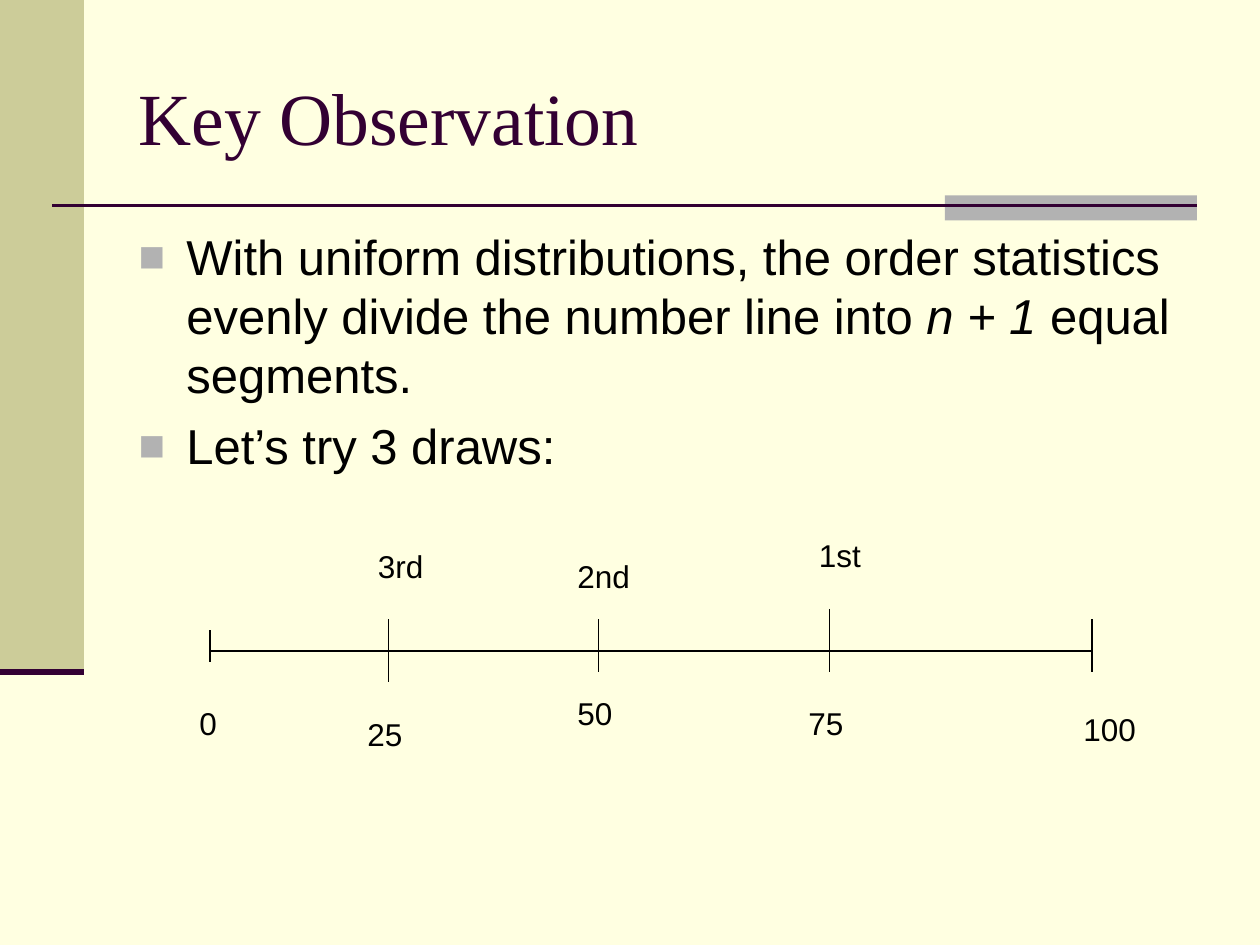
from dataclasses import dataclass
from lxml import etree
from pptx import Presentation
from pptx.dml.color import RGBColor
from pptx.enum import shapes, text
from pptx.oxml.ns import qn
from pptx.util import Emu, Inches, Pt

CREAM = RGBColor(0xFF, 0xFF, 0xE1)
KHAKI = RGBColor(0xCC, 0xCC, 0x99)
GREY = RGBColor(0xB2, 0xB2, 0xB2)
PLUM = RGBColor(0x33, 0x00, 0x33)
BLACK = RGBColor(0, 0, 0)

# The slide is a grid of 120 columns and 90 rows, 12 to the inch
UNIT = Inches(1) // 12
AXIS = 62  # row of the number line


@dataclass
class Bar:
    col: float
    row: float
    wide: float
    high: float
    fill: RGBColor


@dataclass
class Rule:
    start: tuple
    end: tuple
    ink: RGBColor = BLACK
    weight: float = 0.75


@dataclass
class Label:
    words: str
    col: float
    row: float
    wide: float


BARS = [Bar(0, 0, 8, 64, KHAKI), Bar(90, 18.6, 24, 2.4, GREY)]
RULES = [Rule((5, 19.6), (114, 19.6), PLUM, 1.5),
         Rule((0, 64), (8, 64), PLUM, 3.5)]
# Column, top row and bottom row of each tick
TICKS = [(20, 60, 63), (104, 59, 64), (57, 59, 64),
         (37, 59, 65), (79, 58, 64)]
LABELS = [
    Label("0", 17.8, 66.5, 4.2), Label("100", 102, 67, 7.6),
    Label("25", 33.8, 67.5, 5.9), Label("50", 53.8, 65.5, 5.9),
    Label("75", 75.8, 66.5, 5.9), Label("1st", 76.8, 50.5, 6.6),
    Label("2nd", 53.8, 52.5, 7.6), Label("3rd", 34.8, 51.5, 6.9),
]
POINTS = [
    [("With uniform distributions, the order statistics evenly divide "
      "the number line into ", False), ("n + 1", True),
     (" equal segments.", False)],
    [("Let’s try 3 draws:", False)],
]


def grid(*cells: float) -> list:
    return [Emu(round(cell * UNIT)) for cell in cells]


def style(item, **values) -> None:
    for key, value in values.items():
        setattr(item, key, value)


def ink(font, size: float, name: str, color: RGBColor, **more) -> None:
    style(font, size=Pt(size), name=name, **more)
    font.color.rgb = color


def place(item, *cells: float) -> None:
    style(item, **dict(zip(("left", "top", "width", "height"), grid(*cells))))


def draw_bar(slide, bar: Bar) -> None:
    box = slide.shapes.add_shape(
        shapes.MSO_SHAPE.RECTANGLE, *grid(bar.col, bar.row, bar.wide, bar.high))
    box.shadow.inherit = False
    box.fill.solid()
    box.fill.fore_color.rgb = bar.fill
    box.line.fill.background()


def draw_rule(slide, rule: Rule) -> None:
    line = slide.shapes.add_connector(
        shapes.MSO_CONNECTOR.STRAIGHT, *grid(*rule.start, *rule.end))
    line.line.color.rgb = rule.ink
    line.line.width = Pt(rule.weight)
    etree.SubElement(line._element.spPr, qn("a:effectLst"))


def draw_label(slide, label: Label) -> None:
    box = slide.shapes.add_textbox(
        *grid(label.col, label.row, label.wide, 4.8))
    style(box.text_frame, word_wrap=False,
          auto_size=text.MSO_AUTO_SIZE.SHAPE_TO_FIT_TEXT)
    run = box.text_frame.paragraphs[0].add_run()
    run.text = label.words
    ink(run.font, 18, "Arial", BLACK)


def add_bullet(para) -> None:
    props = para._p.get_or_add_pPr()
    for key, value in {"marL": 0.38, "indent": -0.38}.items():
        props.set(key, str(Inches(value)))
    color = etree.SubElement(props, qn("a:buClr"))
    etree.SubElement(color, qn("a:srgbClr"), val=str(GREY))
    etree.SubElement(props, qn("a:buSzPct"), val="90000")
    etree.SubElement(props, qn("a:buFont"), typeface="Arial")
    etree.SubElement(props, qn("a:buChar"), char="■")


def fill_title(title) -> None:
    place(title, 12, 3.6, 102, 15)
    style(title.text_frame, vertical_anchor=text.MSO_ANCHOR.MIDDLE,
          auto_size=text.MSO_AUTO_SIZE.NONE)
    para = title.text_frame.paragraphs[0]
    para.alignment = text.PP_ALIGN.LEFT
    run = para.add_run()
    run.text = "Key Observation"
    ink(run.font, 42, "Times New Roman", PLUM)


def fill_body(body) -> None:
    place(body, 12, 21, 102, 59.4)
    frame = body.text_frame
    style(frame, vertical_anchor=text.MSO_ANCHOR.TOP,
          auto_size=text.MSO_AUTO_SIZE.NONE)
    for index, point in enumerate(POINTS):
        para = frame.add_paragraph() if index else frame.paragraphs[0]
        add_bullet(para)
        style(para, line_spacing=1.0, space_before=Pt(7 if index else 0))
        for words, slant in point:
            run = para.add_run()
            run.text = words
            ink(run.font, 28, "Arial", BLACK, italic=slant)


def main() -> None:
    deck = Presentation()
    style(deck, slide_width=120 * UNIT, slide_height=90 * UNIT)
    slide = deck.slides.add_slide(deck.slide_layouts[1])
    slide.background.fill.solid()
    slide.background.fill.fore_color.rgb = CREAM

    # Side band and title rule
    for bar in BARS:
        draw_bar(slide, bar)
    for rule in RULES:
        draw_rule(slide, rule)

    # Title and list, brought in front of the decoration
    title, body = slide.shapes.title, slide.placeholders[1]
    fill_title(title)
    fill_body(body)
    for item in (title, body):
        slide.shapes._spTree.append(item._element)

    # Number line with its ticks and labels
    draw_rule(slide, Rule((20, AXIS), (104, AXIS)))
    for col, top, base in TICKS:
        draw_rule(slide, Rule((col, top), (col, base)))
    for label in LABELS:
        draw_label(slide, label)

    deck.save("out.pptx")


if __name__ == "__main__":
    main()
